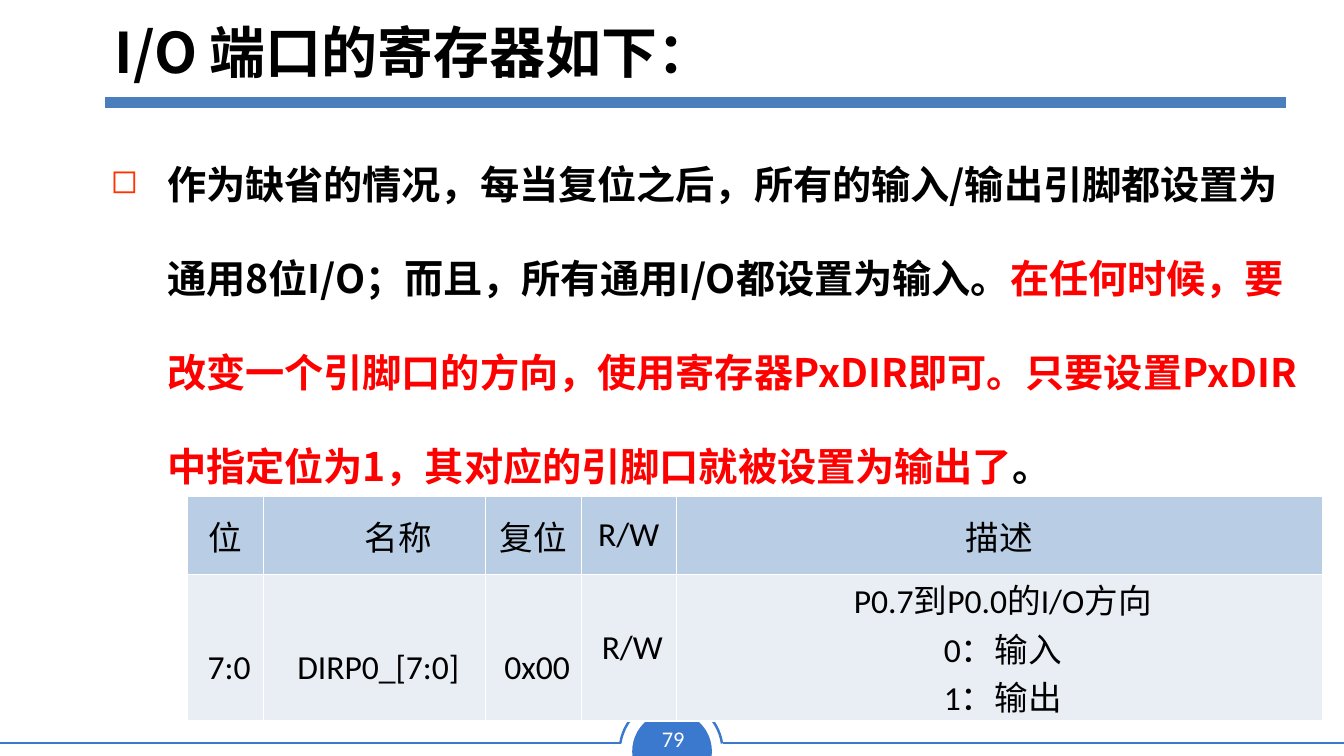
from lxml import etree
from pptx import Presentation
from pptx.dml.color import RGBColor
from pptx.enum.shapes import MSO_CONNECTOR, MSO_SHAPE
from pptx.enum.text import MSO_ANCHOR, PP_ALIGN
from pptx.oxml.ns import qn
from pptx.util import Cm, Pt

STRAIGHT = MSO_CONNECTOR.STRAIGHT
CHORD, ARC = MSO_SHAPE.CHORD, MSO_SHAPE.ARC
CENTER, LEFT = PP_ALIGN.CENTER, PP_ALIGN.LEFT
MIDDLE, TOP = MSO_ANCHOR.MIDDLE, MSO_ANCHOR.TOP
CJK_FONT, LATIN_FONT = "Noto Sans CJK SC", "Calibri"
BLUE, BLACK, RED, WHITE = "3B79CE", "000000", "FF0000", "FFFFFF"
HEADER_FILL, BODY_FILL = "B9CDE5", "E9EDF4"

BODY = [
    ("作为缺省的情况，每当复位之后，所有的输入/输出引脚都设置为通用8位I/O；而且，所有通用I/O都设置为输入。", BLACK),
    ("在任何时候，要改变一个引脚口的方向，使用寄存器PxDIR即可。只要设置PxDIR中指定位为1，其对应的引脚口就被设置为输出了", RED),
    ("。", BLACK),
]
COLUMNS = [1.93, 5.59, 2.41, 2.39, 16.28]
ROWS = [1.95, 3.7]
REGISTER = [
    ["位", "名称", "复位", "R/W", "描述"],
    ["7:0", "DIRP0_[7:0]", "0x00", "R/W", "P0.7到P0.0的I/O方向\n0：输入\n1：输出"],
]


def rgb(color):
    return RGBColor.from_string(color)


def style_run(r, size, font, color, bold=False):
    r.font.size = Pt(size)
    r.font.name = font
    r.font.bold = bold
    r.font.color.rgb = rgb(color)
    if font == CJK_FONT:
        r.font._element.find(qn("a:latin")).addnext(
            etree.Element(qn("a:ea"), typeface=font))


def set_indent(p, left, first=0):
    pPr = p._p.get_or_add_pPr()
    pPr.set("marL", str(Cm(left)))
    pPr.set("indent", str(Cm(first)))
    return pPr


def add_bullet(p, char, color, percent):
    pPr = set_indent(p, 1.42, -1.42)
    clr = etree.SubElement(pPr, qn("a:buClr"))
    etree.SubElement(clr, qn("a:srgbClr"), val=color)
    etree.SubElement(pPr, qn("a:buSzPct"), val=str(percent * 1000))
    etree.SubElement(pPr, qn("a:buChar"), char=char)


def add_line(s, x1, x2, y, color, width):
    line = s.shapes.add_connector(STRAIGHT, Cm(x1), Cm(y), Cm(x2), Cm(y))
    line.line.color.rgb = rgb(color)
    line.line.width = Pt(width)
    etree.SubElement(line._element.spPr, qn("a:effectLst"))


def add_round(s, kind, x, y, size, angles):
    sp = s.shapes.add_shape(kind, Cm(x), Cm(y), Cm(size), Cm(size))
    sp.shadow.inherit = False
    for i, angle in enumerate(angles):
        sp.adjustments[i] = angle
    return sp


def add_text(s, box, runs, size, font, bold=False, align=LEFT, anchor=TOP, wrap=True):
    tf = s.shapes.add_textbox(*map(Cm, box)).text_frame
    tf.word_wrap = wrap
    tf.vertical_anchor = anchor
    p = tf.paragraphs[0]
    p.alignment = align
    for text, color in runs:
        r = p.add_run()
        r.text = text
        style_run(r, size, font, color, bold)
    return p


def add_page_badge(s):
    disc = add_round(s, CHORD, 15.93, 17.93, 2.01, (35.77, 153.29))
    disc.rotation = 112.4
    disc.fill.solid()
    disc.fill.fore_color.rgb = rgb(BLUE)
    disc.line.fill.background()
    add_line(s, 18.21, 33.87, 18.72, BLUE, 1.77)
    add_line(s, 0, 15.65, 18.72, BLUE, 1.77)
    ring = add_round(s, ARC, 15.62, 17.63, 2.59, (113.17, 210.98))
    ring.fill.background()
    ring.line.color.rgb = rgb(BLUE)
    ring.line.width = Pt(1.77)
    add_text(s, (16.38, 18.14, 1.17, 0.94), [("79", WHITE)], 16, LATIN_FONT,
             align=CENTER, wrap=False)


def style_cell(cell, text, fill, top, indent):
    cell.text_frame.text = text
    cell.vertical_anchor = MIDDLE
    cell.margin_left = cell.margin_right = cell.margin_bottom = 0
    cell.margin_top = Cm(top)
    for p in cell.text_frame.paragraphs:
        p.alignment = CENTER
        set_indent(p, indent)
        for r in p.runs:
            style_run(r, 24, LATIN_FONT, BLACK)
    tcPr = cell._tc.get_or_add_tcPr()
    for side in "LRTB":
        ln = etree.SubElement(tcPr, qn(f"a:ln{side}"), w=str(Pt(1)))
        solid = etree.SubElement(ln, qn("a:solidFill"))
        etree.SubElement(solid, qn("a:srgbClr"), val=WHITE)
    cell.fill.solid()
    cell.fill.fore_color.rgb = rgb(fill)


def add_register_table(s):
    table = s.shapes.add_table(len(ROWS), len(COLUMNS), Cm(4.72), Cm(12.52),
                               Cm(sum(COLUMNS)), Cm(sum(ROWS))).table
    table.first_row = table.horz_banding = False
    for column, width in zip(table.columns, COLUMNS):
        column.width = Cm(width)
    for row, height in zip(table.rows, ROWS):
        row.height = Cm(height)
    for j, (head, value) in enumerate(zip(*REGISTER)):
        style_cell(table.cell(0, j), head, HEADER_FILL, 0, 1.19 if head == "名称" else 0)
        style_cell(table.cell(1, j), value, BODY_FILL, 1.03 if j < 3 else 0, 0.18)


def main():
    prs = Presentation()
    prs.slide_width, prs.slide_height = Cm(33.87), Cm(19.05)
    s = prs.slides.add_slide(prs.slide_layouts[6])
    add_page_badge(s)
    add_line(s, 2.64, 32.41, 2.59, "4B7EBC", 8)
    add_text(s, (2.64, 0.13, 29.69, 2.34), [("I/O 端口的寄存器如下：", BLACK)], 40,
             CJK_FONT, bold=True, anchor=MIDDLE)
    p = add_text(s, (2.54, 2.72, 30.4, 9.5), BODY, 28, CJK_FONT, bold=True)
    add_bullet(p, "◻", "FF3300", 85)
    p.line_spacing = 2.0
    add_register_table(s)
    prs.save("out.pptx")


if __name__ == "__main__":
    main()
